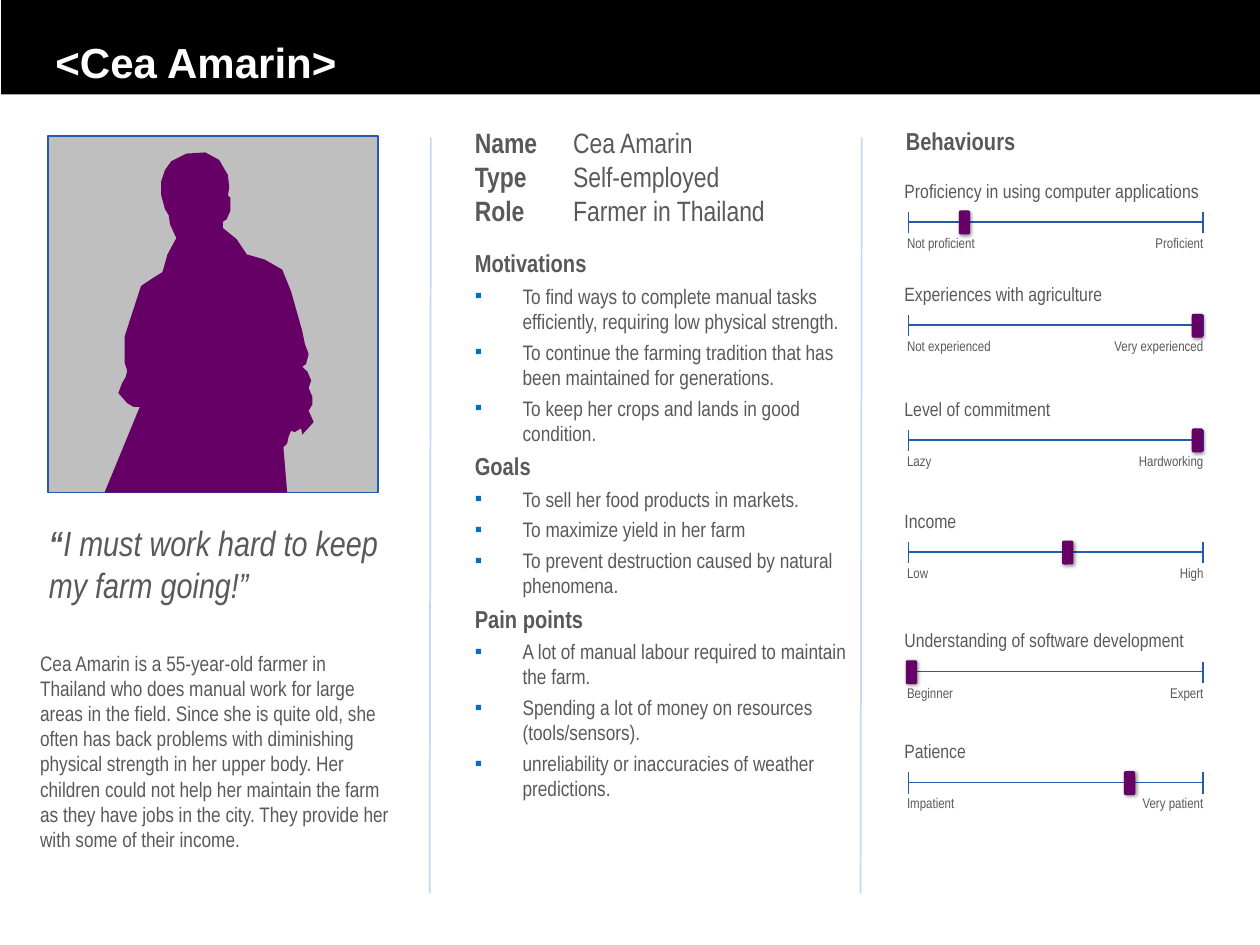
"""Build a persona slide with a portrait, a profile and behaviour sliders."""
from lxml import etree
from pptx import Presentation
from pptx import util as u
from pptx.dml.color import RGBColor
from pptx.enum import shapes, text
from pptx.oxml import ns

BLACK = RGBColor(0x00, 0x00, 0x00)
WHITE = RGBColor(0xFF, 0xFF, 0xFF)
GREY = RGBColor(0x59, 0x59, 0x59)
SILVER = RGBColor(0xBF, 0xBF, 0xBF)
BLUE = RGBColor(0x24, 0x5B, 0xAF)
PALE_BLUE = RGBColor(0xC6, 0xD9, 0xF1)
BULLET_BLUE = RGBColor(0x00, 0x70, 0xC0)
PURPLE = RGBColor(0x66, 0x00, 0x66)

BIOGRAPHY = (
    "Cea Amarin is a 55-year-old farmer in Thailand who does manual work for large areas "
    "in the field. Since she is quite old, she often has back problems with diminishing "
    "physical strength in her upper body. Her children could not help her maintain the farm "
    "as they have jobs in the city. They provide her with some of their income."
)
FACTS = [("Name", "Cea Amarin"), ("Type", "Self-employed"), ("Role", "Farmer in Thailand")]
PROFILE = {
    "Motivations": [
        "To find ways to complete manual tasks efficiently, requiring low physical strength.",
        "To continue the farming tradition that has been maintained for generations.",
        "To keep her crops and lands in good condition.",
    ],
    "Goals": [
        "To sell her food products in markets.",
        "To maximize yield in her farm",
        "To prevent destruction caused by natural phenomena.",
    ],
    "Pain points": [
        "A lot of manual labour required to maintain the farm.",
        "Spending a lot of money on resources (tools/sensors).",
        "unreliability or inaccuracies of weather predictions.",
    ],
}
BEHAVIOURS = [
    (1.76, "Proficiency in using computer applications", 2.64, "Not proficient", "Proficient", 0.19),
    (2.58, "Experiences with agriculture", 2.33, "Not experienced", "Very experienced", 0.98),
    (3.49, "Level of commitment", 2.33, "Lazy", "Hardworking", 0.98),
    (4.38, "Income", 2.33, "Low", "High", 0.54),
    (5.33, "Understanding of software development", 2.57, "Beginner", "Expert", 0.01),
    (6.21, "Patience", 2.33, "Impatient", "Very patient", 0.75),
]
SILHOUETTE = [
    (83, 391), (111, 323), (106, 323), (101, 320), (94, 312), (97, 304), (100, 299),
    (101, 294), (99, 288), (99, 267), (112, 227), (121, 221), (129, 216), (133, 202),
    (140, 189), (135, 178), (134, 171), (131, 166), (128, 155), (128, 144), (131, 135),
    (136, 128), (148, 122), (163, 121), (174, 127), (181, 139), (182, 149), (181, 155),
    (183, 157), (183, 167), (180, 174), (177, 176), (177, 181), (188, 190), (196, 202),
    (210, 206), (224, 214), (231, 231), (240, 263), (242, 273), (245, 281), (243, 289),
    (240, 291), (244, 295), (247, 302), (245, 308), (248, 315), (248, 321), (245, 326),
    (249, 335), (240, 345), (239, 340), (234, 343), (231, 342), (229, 347), (228, 352),
    (225, 355), (228, 391),
]


def add_run(paragraph, words, size=12, bold=False, italic=False, color=GREY, font="Arial Narrow"):
    run = paragraph.add_run()
    run.text = words
    run.font.size = u.Pt(size)
    run.font.bold = bold
    run.font.italic = italic
    run.font.color.rgb = color
    run.font.name = font


def add_xml(parent, tag, **attributes):
    return etree.SubElement(parent, ns.qn(tag), attributes)


class PersonaSlide:
    def __init__(self, slide):
        self.slide = slide
        self.target = slide.shapes

    def title(self, words, left, top, width, height):
        title = self.slide.shapes.title
        title.left, title.top = u.Inches(left), u.Inches(top)
        title.width, title.height = u.Inches(width), u.Inches(height)
        title.text_frame.auto_size = text.MSO_AUTO_SIZE.NONE
        title.text_frame.vertical_anchor = text.MSO_ANCHOR.MIDDLE
        heading = title.text_frame.paragraphs[0]
        heading.alignment = text.PP_ALIGN.LEFT
        add_run(heading, words, size=24, bold=True, color=WHITE, font="Arial")

    def paint(self, shape, fill, outline=None):
        shape.shadow.inherit = False
        shape.fill.solid()
        shape.fill.fore_color.rgb = fill
        if outline is None:
            shape.line.fill.background()
        else:
            shape.line.color.rgb = outline
            shape.line.width = u.Pt(0.75)
        return shape

    def box(self, left, top, width, height, fill, outline=None, kind=shapes.MSO_SHAPE.RECTANGLE):
        box = self.target.add_shape(
            kind, u.Inches(left), u.Inches(top), u.Inches(width), u.Inches(height))
        return self.paint(box, fill, outline)

    def outline(self, points):
        builder = self.target.build_freeform(*points[0], scale=u.Inches(0.01))
        builder.add_line_segments(points[1:], close=True)
        return self.paint(builder.convert_to_shape(), PURPLE)

    def line(self, x1, y1, x2, y2, color=BLUE):
        line = self.target.add_connector(
            shapes.MSO_CONNECTOR.STRAIGHT,
            u.Inches(x1), u.Inches(y1), u.Inches(x2), u.Inches(y2))
        line.line.color.rgb = color
        line.line.width = u.Pt(1)
        add_xml(line._element.spPr, "a:effectLst")

    def frame(self, left, top, width, height, grow=True):
        frame = self.target.add_textbox(
            u.Inches(left), u.Inches(top), u.Inches(width), u.Inches(height)).text_frame
        frame.word_wrap = True
        frame.auto_size = text.MSO_AUTO_SIZE.SHAPE_TO_FIT_TEXT if grow else text.MSO_AUTO_SIZE.NONE
        return frame

    def label(self, words, left, top, width, height, align=text.PP_ALIGN.LEFT, **style):
        paragraph = self.frame(left, top, width, height).paragraphs[0]
        paragraph.alignment = align
        add_run(paragraph, words, **style)
        return paragraph

    def facts(self, rows, left, top, width, height):
        frame = self.frame(left, top, width, height)
        for index, (name, value) in enumerate(rows):
            row = frame.add_paragraph() if index else frame.paragraphs[0]
            tabs = add_xml(row._p.get_or_add_pPr(), "a:tabLst")
            add_xml(tabs, "a:tab", pos=str(u.Inches(0.78)), algn="l")
            add_run(row, name, size=16, bold=True)
            add_run(row, "\t" + value, size=16)

    def profile(self, sections, left, top, width, height):
        frame = self.frame(left, top, width, height, grow=False)
        heading = frame.paragraphs[0]
        for name, items in sections.items():
            heading = heading or frame.add_paragraph()
            heading.space_before = u.Pt(3.2)
            add_run(heading, name, size=14, bold=True)
            heading = None
            for item in items:
                self.bullet(frame.add_paragraph(), item)

    def bullet(self, paragraph, words):
        paragraph.space_before = u.Pt(3.2)
        properties = paragraph._p.get_or_add_pPr()
        properties.set("marL", str(u.Inches(0.38)))
        properties.set("indent", str(-u.Inches(0.38)))
        add_xml(add_xml(properties, "a:buClr"), "a:srgbClr", val=str(BULLET_BLUE))
        add_xml(properties, "a:buFont", typeface="Arial")
        add_xml(properties, "a:buChar", char="▪")
        add_run(paragraph, words)

    def slider(self, y, name, name_width, low, high, share):
        left, right = 7.21, 9.55
        self.target = self.slide.shapes.add_group_shape().shapes
        self.line(left, y, right, y)
        for end in (left, right):
            self.line(end, y + 0.09, end, y - 0.08)
        self.label(low, 7.1, y + 0.05, 1.08, 0.24, size=8)
        self.label(high, 8.46, y + 0.05, 1.19, 0.24, align=text.PP_ALIGN.RIGHT, size=8)
        self.label(name, 7.08, y - 0.39, name_width, 0.29, size=11)
        knob = self.box(left + share * (right - left) - 0.045, y - 0.09, 0.09, 0.19, PURPLE,
                        kind=shapes.MSO_SHAPE.ROUNDED_RECTANGLE)
        effects = knob._element.spPr.find(ns.qn("a:effectLst"))
        shadow = add_xml(effects, "a:outerShdw", blurRad=str(u.Pt(2)), dist=str(u.Pt(1)),
                         dir="2700000", algn="tl", rotWithShape="0")
        add_xml(add_xml(shadow, "a:srgbClr", val=str(BLACK)), "a:alpha", val="43000")
        self.target = self.slide.shapes


def main():
    deck = Presentation()
    deck.slide_width, deck.slide_height = u.Inches(10), u.Inches(7.5)
    persona = PersonaSlide(deck.slides.add_slide(deck.slide_layouts[5]))

    banner = persona.box(0.01, 0, 10, 0.75, BLACK)
    persona.slide.shapes.title._element.addprevious(banner._element)
    persona.title("<Cea Amarin>", 0.34, 0.22, 6.77, 0.54)

    persona.box(0.38, 1.08, 2.62, 2.83, SILVER, BLUE)
    persona.outline(SILHOUETTE)
    quote = persona.label("“", 0.29, 4.09, 3, 1.11, size=20, bold=True, italic=True)
    add_run(quote, "I must work hard to keep my farm going!”", size=20, italic=True)
    persona.label(BIOGRAPHY, 0.22, 5.11, 3, 1.72)

    for x in (3.42, 6.84):
        persona.line(x, 1.09, x - 0.01, 7.09, PALE_BLUE)
    persona.facts(FACTS, 3.67, 0.95, 3.42, 0.91)
    persona.profile(PROFILE, 3.67, 1.92, 3.17, 4.83)

    persona.label("Behaviours", 7.09, 0.95, 2.42, 0.54, size=14, bold=True)
    for behaviour in BEHAVIOURS:
        persona.slider(*behaviour)
    deck.save("out.pptx")


if __name__ == "__main__":
    main()
